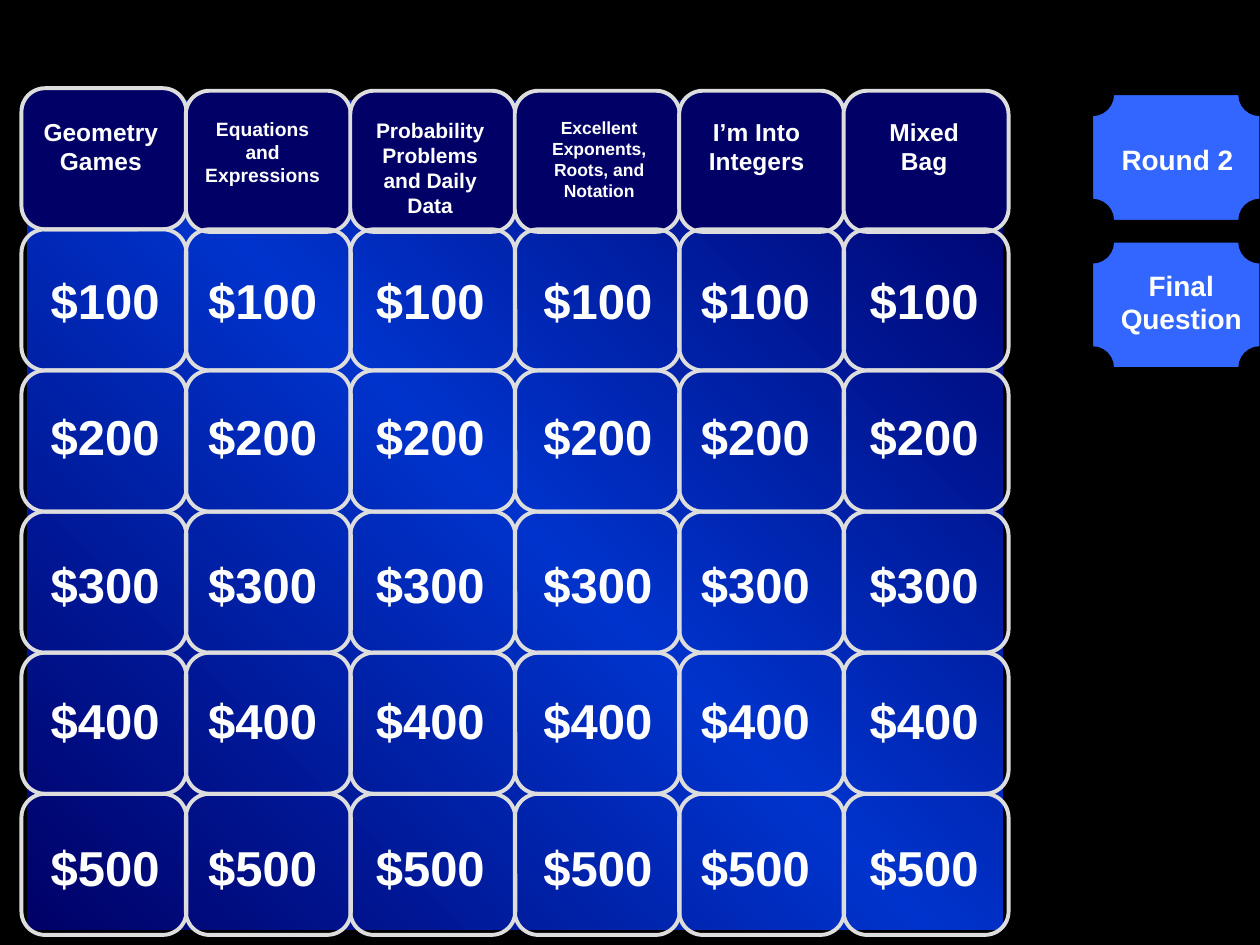
import copy
from dataclasses import dataclass

import pptx
import pptx.dml.color
import pptx.enum.shapes
import pptx.enum.text
import pptx.oxml
import pptx.oxml.ns
import pptx.shapes.autoshape
import pptx.slide
import pptx.util

Inches = pptx.util.Inches
Shapes = pptx.enum.shapes.MSO_SHAPE


@dataclass(frozen=True)
class Theme:
    font: str = "Arial"
    black: str = "000000"
    navy: str = "000066"
    blue: str = "0033CC"
    button: str = "3366FF"
    border: str = "DDDDDD"
    text: str = "FFFFFF"
    value_size: int = 28
    button_size: int = 16
    corner: float = 0.167


@dataclass(frozen=True)
class Box:
    left: float
    top: float
    width: float
    height: float

    def lengths(self) -> tuple:
        return tuple(Inches(n) for n in (self.left, self.top, self.width, self.height))


@dataclass(frozen=True)
class Category:
    title: str
    size: int
    title_box: Box
    value_left: float
    header_top: float = 0.72


@dataclass(frozen=True)
class Button:
    label: str
    top: float
    label_box: Box


THEME = Theme()
BOARD = Box(0.17, 0.75, 7.83, 6.67)
CELL_WIDTH, CELL_HEIGHT, COLUMN_PITCH = 1.31, 1.12, 1.305
FIRST_ROW_TOP = 1.82
VALUE_TOPS = {"$100": 2.1, "$200": 3.18, "$300": 4.35, "$400": 5.43, "$500": 6.6}

CATEGORIES = [
    Category("Geometry Games", 14, Box(0.19, 0.88, 1.22, 0.57), 0.17, 0.7),
    Category("Equations and Expressions", 11, Box(1.5, 0.88, 1.17, 0.66), 1.42),
    Category("Probability Problems and Daily Data", 12, Box(2.83, 0.88, 1.17, 0.91), 2.75),
    Category("Excellent Exponents, Roots, and Notation", 10, Box(4.17, 0.88, 1.17, 0.77), 4.08),
    Category("I’m Into Integers", 14, Box(5.42, 0.88, 1.17, 0.57), 5.33),
    Category("Mixed Bag", 14, Box(6.75, 0.88, 1.17, 0.57), 6.67),
]
BUTTONS = [
    Button("Round 2", 0.75, Box(8.66, 1.08, 1.37, 0.37)),
    Button("Final Question", 1.92, Box(8.75, 2.08, 1.25, 0.64)),
]


def color(value: str) -> pptx.dml.color.RGBColor:
    return pptx.dml.color.RGBColor.from_string(value)


def add_panel(slide: pptx.slide.Slide, kind: Shapes, box: Box, fill: str | None,
              line: str, line_width: float) -> pptx.shapes.autoshape.Shape:
    shape = slide.shapes.add_shape(kind, *box.lengths())
    shape.shadow.inherit = False
    if fill is None:
        shape.fill.background()
    else:
        shape.fill.solid()
        shape.fill.fore_color.rgb = color(fill)
    shape.line.color.rgb = color(line)
    shape.line.width = pptx.util.Pt(line_width)
    if len(shape.adjustments):
        shape.adjustments[0] = THEME.corner
    return shape


def add_label(slide: pptx.slide.Slide, text: str, box: Box, size: int) -> None:
    frame = slide.shapes.add_textbox(*box.lengths()).text_frame
    frame.word_wrap = True
    frame.auto_size = pptx.enum.text.MSO_AUTO_SIZE.SHAPE_TO_FIT_TEXT
    frame.text = text
    paragraph = frame.paragraphs[0]
    paragraph.alignment = pptx.enum.text.PP_ALIGN.CENTER
    spacing = pptx.oxml.parse_xml(
        f'<a:spcBef {pptx.oxml.ns.nsdecls("a")}><a:spcPct val="50000"/></a:spcBef>')
    paragraph._p.get_or_add_pPr().append(spacing)
    font = paragraph.runs[0].font
    font.name = THEME.font
    font.size = pptx.util.Pt(size)
    font.bold = True
    font.color.rgb = color(THEME.text)


def add_board(slide: pptx.slide.Slide) -> None:
    board = add_panel(slide, Shapes.RECTANGLE, BOARD, THEME.navy, THEME.black, 6)
    board.fill.gradient()
    board.fill.gradient_angle = 45
    stop_list = board.element.spPr.find(".//" + pptx.oxml.ns.qn("a:gsLst"))
    stop_list.append(copy.deepcopy(stop_list[0]))
    stops = zip(board.fill.gradient_stops, (0, 0.5, 1), (THEME.navy, THEME.blue, THEME.navy))
    for stop, position, shade in stops:
        stop.position = position
        stop.color.rgb = color(shade)


def add_cell(slide: pptx.slide.Slide, column: int, top: float, fill: str | None) -> None:
    box = Box(BOARD.left + column * COLUMN_PITCH, top, CELL_WIDTH, CELL_HEIGHT)
    add_panel(slide, Shapes.ROUNDED_RECTANGLE, box, fill, THEME.border, 2.25)


def add_button(slide: pptx.slide.Slide, button: Button) -> None:
    box = Box(8.67, button.top, 1.33, 1)
    add_panel(slide, Shapes.PLAQUE, box, THEME.button, THEME.black, 0.75)
    add_label(slide, button.label, button.label_box, THEME.button_size)


def main() -> None:
    presentation = pptx.Presentation()
    presentation.slide_width, presentation.slide_height = Inches(10), Inches(7.5)
    slide = presentation.slides.add_slide(presentation.slide_layouts[6])
    add_panel(slide, Shapes.RECTANGLE, Box(0, 0, 10, 7.5), THEME.black, THEME.black, 0.75)
    add_board(slide)
    for column, category in enumerate(CATEGORIES):
        add_cell(slide, column, category.header_top, THEME.navy)
    for category in CATEGORIES:
        add_label(slide, category.title, category.title_box, category.size)
    for row, (value, value_top) in enumerate(VALUE_TOPS.items()):
        for column, category in enumerate(CATEGORIES):
            add_cell(slide, column, FIRST_ROW_TOP + row * CELL_HEIGHT, None)
            value_box = Box(category.value_left, value_top, 1.33, 0.57)
            add_label(slide, value, value_box, THEME.value_size)
    for button in BUTTONS:
        add_button(slide, button)
    presentation.save("out.pptx")


if __name__ == "__main__":
    main()
